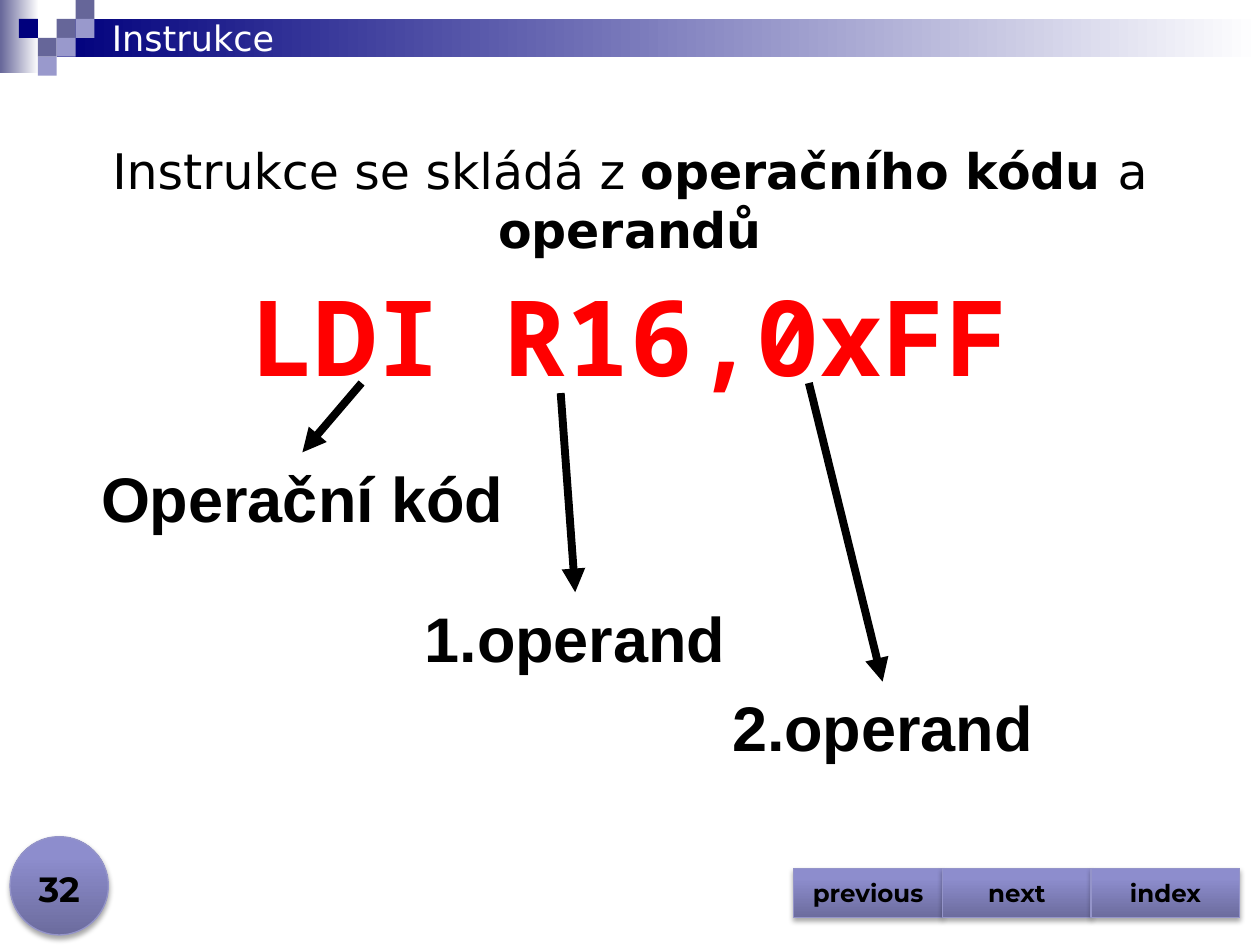
"""Build a slide that explains the parts of an instruction."""
from copy import deepcopy

from pptx import Presentation
from pptx.dml.color import RGBColor
from pptx.enum.shapes import MSO_CONNECTOR as Link, MSO_SHAPE as Geo
from pptx.enum.text import MSO_ANCHOR as Anchor, PP_ALIGN as Align
from pptx.oxml import parse_xml
from pptx.oxml.ns import nsdecls, qn
from pptx.util import Inches, Pt

NAVY, SLATE, LILAC, WHITE = "00007D", "666699", "9999CC", "FFFFFF"
GLOSS = [(0, "6C6C9E"), (0.8, "8D8DCD"), (1, "8C8CCF")]


def color(code):
    """Turn a hex string into a colour."""
    return RGBColor.from_string(code)


def blend(shape, stops, angle=0):
    """Fill a shape with a linear gradient of any number of stops."""
    fill = shape.fill
    fill.gradient()
    fill.gradient_angle = angle
    group = shape.element.spPr.find(".//" + qn("a:gsLst"))
    while len(group) < len(stops):
        group.append(deepcopy(group[-1]))
    for stop, (place, code) in zip(fill.gradient_stops, stops):
        stop.position = place
        stop.color.rgb = color(code)


def block(slide, box, fill, geo=Geo.RECTANGLE):
    """Add a borderless shape with a plain or a gradient fill."""
    shape = slide.shapes.add_shape(geo, *map(Inches, box))
    shape.shadow.inherit = False
    shape.line.fill.background()
    if isinstance(fill, str):
        shape.fill.solid()
        shape.fill.fore_color.rgb = color(fill)
    else:
        blend(shape, fill)
    return shape


def gloss(slide, box, geo):
    """Add a glossy shape with a thin edge and a soft shadow."""
    shape = block(slide, box, GLOSS, geo)
    shape.fill.gradient_angle = 90
    shape.line.color.rgb = color("9494C9")
    shape.line.width = Pt(0.75)
    shade = parse_xml(
        f'<a:outerShdw {nsdecls("a")} blurRad="{Pt(3.1)}" dist="{Pt(1.8)}" '
        'dir="5400000" rotWithShape="0"><a:srgbClr val="000000">'
        '<a:alpha val="35000"/></a:srgbClr></a:outerShdw>')
    shape.element.spPr.find(qn("a:effectLst")).append(shade)
    return shape


def write(shape, *runs, size, font, ink="000000", bold=(True,),
          align=Align.CENTER, anchor=Anchor.MIDDLE, wrap=True):
    """Write one paragraph whose runs take their weight from bold."""
    frame = shape.text_frame
    frame.word_wrap = wrap
    frame.vertical_anchor = anchor
    para = frame.paragraphs[0]
    para.alignment = align
    for text, heavy in zip(runs, bold):
        run = para.add_run()
        run.text = text
        run.font.size = Pt(size)
        run.font.name = font
        run.font.bold = heavy
        run.font.color.rgb = color(ink)


def label(slide, box, *runs, **form):
    """Add a text box and write in it."""
    shape = slide.shapes.add_textbox(*map(Inches, box))
    write(shape, *runs, **form)
    return shape


def arrow(slide, name, start):
    """Point an arrow from the code down to the top of a name."""
    top = name.left + name.width // 2, name.top
    line = slide.shapes.add_connector(Link.STRAIGHT, *top, *map(Inches, start))
    line.begin_connect(name, 0)
    line.line.color.rgb = color("000000")
    line.line.width = Pt(4.5)
    line.line._get_or_add_ln().append(
        parse_xml(f'<a:headEnd {nsdecls("a")} type="triangle"/>'))
    line.element.spPr.append(parse_xml(f'<a:effectLst {nsdecls("a")}/>'))


def banner(slide):
    """Draw the title bar with its checkered corner."""
    block(slide, (0, 0, 0.31, 0.58), [(0, SLATE), (1, WHITE)])
    block(slide, (0.45, 0.15, 9.55, 0.3), [(0, NAVY), (1, WHITE)])
    side = 0.15
    for col, row, fill in [(3, 1, SLATE), (4, 0, SLATE), (4, 1, LILAC),
                           (2, 2, SLATE), (1, 1, NAVY), (3, 2, LILAC),
                           (2, 3, LILAC)]:
        block(slide, (col * side, row * side, side, side), fill)
    label(slide, (0.79, 0.08, 8.5, 0.44), "Instrukce", size=20,
          font="DejaVu Sans", ink=WHITE, bold=(False,), align=Align.LEFT)


def parts(slide):
    """Show the instruction and name each of its parts."""
    label(slide, (0, 2.1, 10, 1.11), "LDI R16,0xFF", size=60,
          font="Noto Sans Mono", ink="FF0000")
    for text, box, start in [
            ("Operační kód", (0.67, 3.59, 3.46, 0.71), (2.87, 3.04)),
            ("1.operand", (3.11, 4.7, 2.91, 0.71), (4.45, 3.12)),
            ("2.operand", (5.55, 5.41, 2.91, 0.71), (6.42, 3.04))]:
        name = label(slide, box, text, size=36, font="Arial", wrap=False)
        arrow(slide, name, start)
    label(slide, (0, 1.07, 10, 1.04), "Instrukce se skládá z ",
          "operačního kódu ", "a ", "operandů", size=28, font="DejaVu Sans",
          bold=(False, True, False, True), anchor=Anchor.TOP)


def footer(slide):
    """Add the page number and the row of buttons."""
    gloss(slide, (0.08, 6.64, 0.78, 0.78), Geo.OVAL)
    label(slide, (0, 6.77, 0.94, 0.5), "32", size=20, font="Montserrat",
          anchor=Anchor.BOTTOM)
    wide = 1.18
    for spot, text in enumerate(("previous", "next", "index")):
        box = (6.3 + spot * wide, 6.89, wide, 0.39)
        key = gloss(slide, box, Geo.ACTION_BUTTON_CUSTOM)
        write(key, text, size=14, font="Montserrat")


def main():
    """Build and save the slide."""
    deck = Presentation()
    deck.slide_width, deck.slide_height = Inches(10), Inches(7.5)
    slide = deck.slides.add_slide(deck.slide_layouts[6])
    banner(slide)
    parts(slide)
    footer(slide)
    deck.save("out.pptx")


if __name__ == "__main__":
    main()
